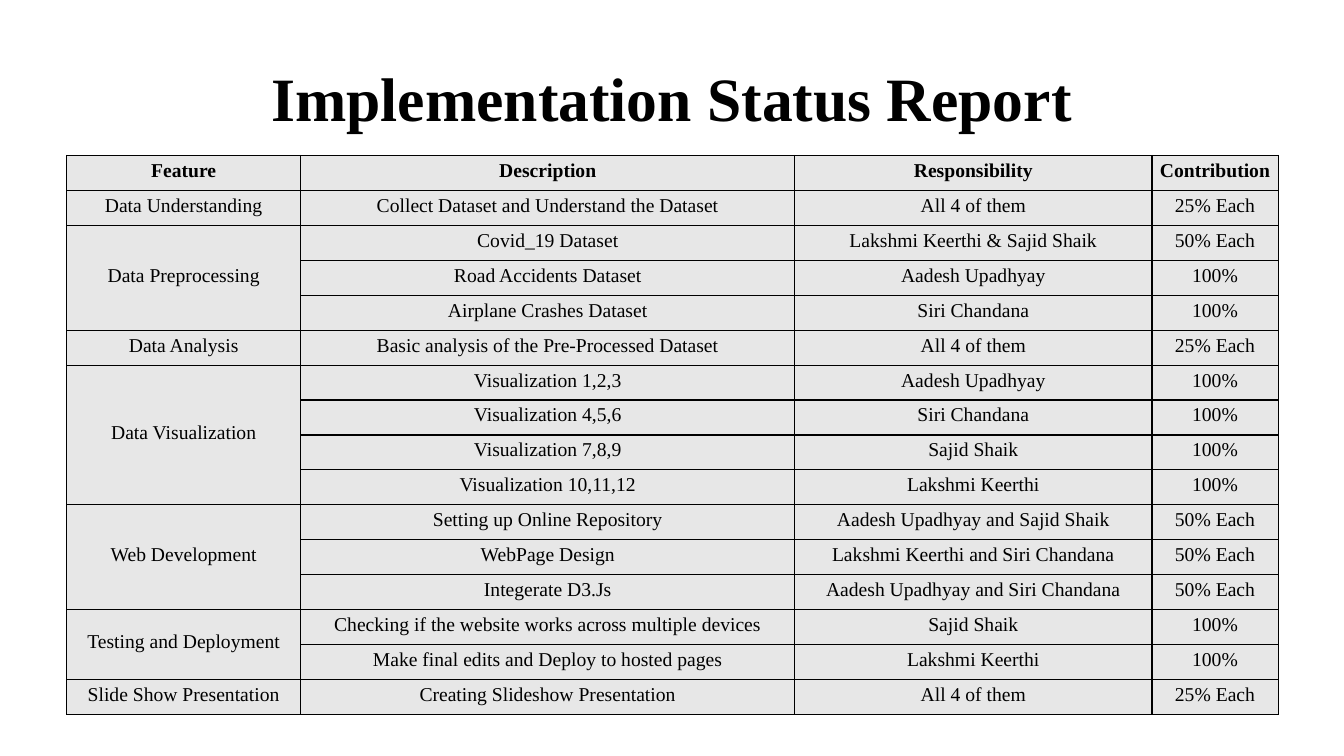
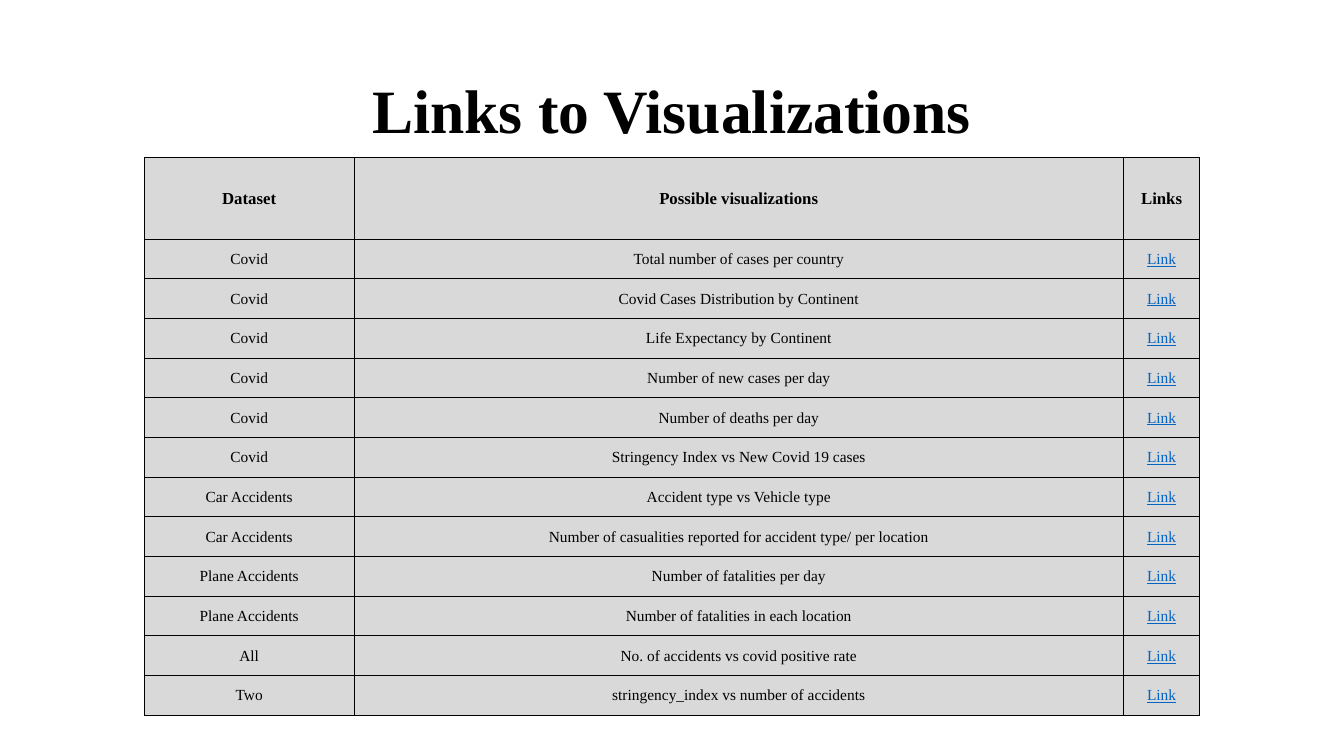
from lxml import etree
from pptx import Presentation
from pptx import util as u
from pptx.dml.color import RGBColor
from pptx.enum import text
from pptx.oxml import ns

FONT = "Times New Roman"
COLORS = {
    "ink": "000000",
    "link": "0563C1",
    "status_fill": "E7E7E7",
    "links_fill": "D9D9D9",
}

# An empty feature continues the one above it.
STATUS_ROWS = [
    ("Feature", "Description", "Responsibility", "Contribution"),
    ("Data Understanding", "Collect Dataset and Understand the Dataset", "All 4 of them", "25% Each"),
    ("Data Preprocessing", "Covid_19 Dataset", "Lakshmi Keerthi & Sajid Shaik", "50% Each"),
    ("", "Road Accidents Dataset", "Aadesh Upadhyay", "100%"),
    ("", "Airplane Crashes Dataset", "Siri Chandana", "100%"),
    ("Data Analysis", "Basic analysis of the Pre-Processed Dataset", "All 4 of them", "25% Each"),
    ("Data Visualization", "Visualization 1,2,3", "Aadesh Upadhyay", "100%"),
    ("", "Visualization 4,5,6", "Siri Chandana", "100%"),
    ("", "Visualization 7,8,9", "Sajid Shaik", "100%"),
    ("", "Visualization 10,11,12", "Lakshmi Keerthi", "100%"),
    ("Web Development", "Setting up Online Repository", "Aadesh Upadhyay and Sajid Shaik", "50% Each"),
    ("", "WebPage Design", "Lakshmi Keerthi and Siri Chandana", "50% Each"),
    ("", "Integerate D3.Js", "Aadesh Upadhyay and Siri Chandana", "50% Each"),
    ("Testing and Deployment", "Checking if the website works across multiple devices", "Sajid Shaik", "100%"),
    ("", "Make final edits and Deploy to hosted pages", "Lakshmi Keerthi", "100%"),
    ("Slide Show Presentation", "Creating Slideshow Presentation", "All 4 of them", "25% Each"),
]

VISUALIZATIONS = [
    ("Covid", "Total number of cases per country"),
    ("Covid", "Covid Cases Distribution by Continent"),
    ("Covid", "Life Expectancy by Continent"),
    ("Covid", "Number of new cases per day"),
    ("Covid", "Number of deaths per day"),
    ("Covid", "Stringency Index vs New Covid 19 cases"),
    ("Car Accidents", "Accident type vs Vehicle type"),
    ("Car Accidents", "Number of casualities reported for accident type/ per location"),
    ("Plane Accidents", "Number of fatalities per day"),
    ("Plane Accidents", "Number of fatalities in each location"),
    ("All", "No. of accidents vs covid positive rate"),
    ("Two", "stringency_index vs number of accidents"),
]
LINK_ROWS = [("Dataset", "Possible visualizations", "Links")]
LINK_ROWS += [(*row, "Link") for row in VISUALIZATIONS]


def set_all(obj, values):
    for name, value in values.items():
        setattr(obj, name, value)


def write(tf, words, color="ink", **font):
    p = tf.paragraphs[0]
    p.alignment = text.PP_ALIGN.CENTER
    r = p.add_run()
    r.text = words
    set_all(r.font, {"name": FONT, **font})
    r.font.color.rgb = RGBColor.from_string(COLORS[color])
    return p


def add_titled_slide(prs, title, top):
    s = prs.slides.add_slide(prs.slide_layouts.get_by_name("Title Only"))
    sp = s.shapes.title
    set_all(sp, {"left": u.Cm(2.33), "top": u.Cm(top), "width": u.Cm(29.21), "height": u.Cm(3.68)})
    sp.text_frame.vertical_anchor = text.MSO_ANCHOR.MIDDLE
    write(sp.text_frame, title, size=u.Pt(44), bold=True).line_spacing = 0.9
    return s


def set_borders(cell, width):
    """Line all four sides; the lines must precede the fill in the cell's XML."""
    tcPr = cell._tc.get_or_add_tcPr()
    for i, side in enumerate(("a:lnL", "a:lnR", "a:lnT", "a:lnB")):
        ln = etree.Element(ns.qn(side), w=str(u.Pt(width)))
        fill = etree.SubElement(ln, ns.qn("a:solidFill"))
        etree.SubElement(fill, ns.qn("a:srgbClr"), val=COLORS["ink"])
        tcPr.insert(i, ln)


def format_cell(cell, fill, border, bottom):
    margin = u.Cm(0.02)
    set_all(cell, {
        "margin_left": margin, "margin_right": margin, "margin_top": margin,
        "margin_bottom": u.Cm(bottom), "vertical_anchor": text.MSO_ANCHOR.MIDDLE,
    })
    cell.fill.solid()
    cell.fill.fore_color.rgb = RGBColor.from_string(COLORS[fill])
    set_borders(cell, border)


def merge_continued(table, rows):
    """Merge each first-column cell with the empty ones below it."""
    starts = [i for i, row in enumerate(rows) if row[0]] + [len(rows)]
    for first, following in zip(starts, starts[1:]):
        if following - first > 1:
            table.cell(first, 0).merge(table.cell(following - 1, 0))


def add_grid(s, rows, left, top, col_widths, row_heights, sizes, fill, border, bottom):
    """Add a table; row_heights and sizes hold the header's value, then the body's."""
    heights = [row_heights[min(i, 1)] for i in range(len(rows))]
    table = s.shapes.add_table(
        len(rows), len(col_widths), u.Cm(left), u.Cm(top),
        u.Cm(sum(col_widths)), u.Cm(sum(heights))).table
    table.horz_banding = False
    for column, width in zip(table.columns, col_widths):
        column.width = u.Cm(width)
    for i, row in enumerate(rows):
        table.rows[i].height = u.Cm(heights[i])
        for j, words in enumerate(row):
            cell = table.cell(i, j)
            format_cell(cell, fill, border, bottom)
            if words:
                is_link = words == "Link"
                write(cell.text_frame, words, "link" if is_link else "ink",
                      size=u.Pt(sizes[min(i, 1)]), bold=i == 0, underline=is_link)
    merge_continued(table, rows)


def main():
    prs = Presentation()
    set_all(prs, {"slide_width": u.Cm(33.87), "slide_height": u.Cm(19.05)})

    s = add_titled_slide(prs, "Implementation Status Report", top=0.71)
    add_grid(s, STATUS_ROWS, 1.68, 3.92, (5.9, 12.45, 9, 3.18), (0.88, 0.88),
             sizes=(14, 14), fill="status_fill", border=1, bottom=0.13)

    s = add_titled_slide(prs, "Links to Visualizations", top=1.02)
    add_grid(s, LINK_ROWS, 3.64, 3.96, (5.28, 19.4, 1.91), (2.06, 1),
             sizes=(12, 11), fill="links_fill", border=0.5, bottom=0)

    prs.save("out.pptx")


if __name__ == "__main__":
    main()
